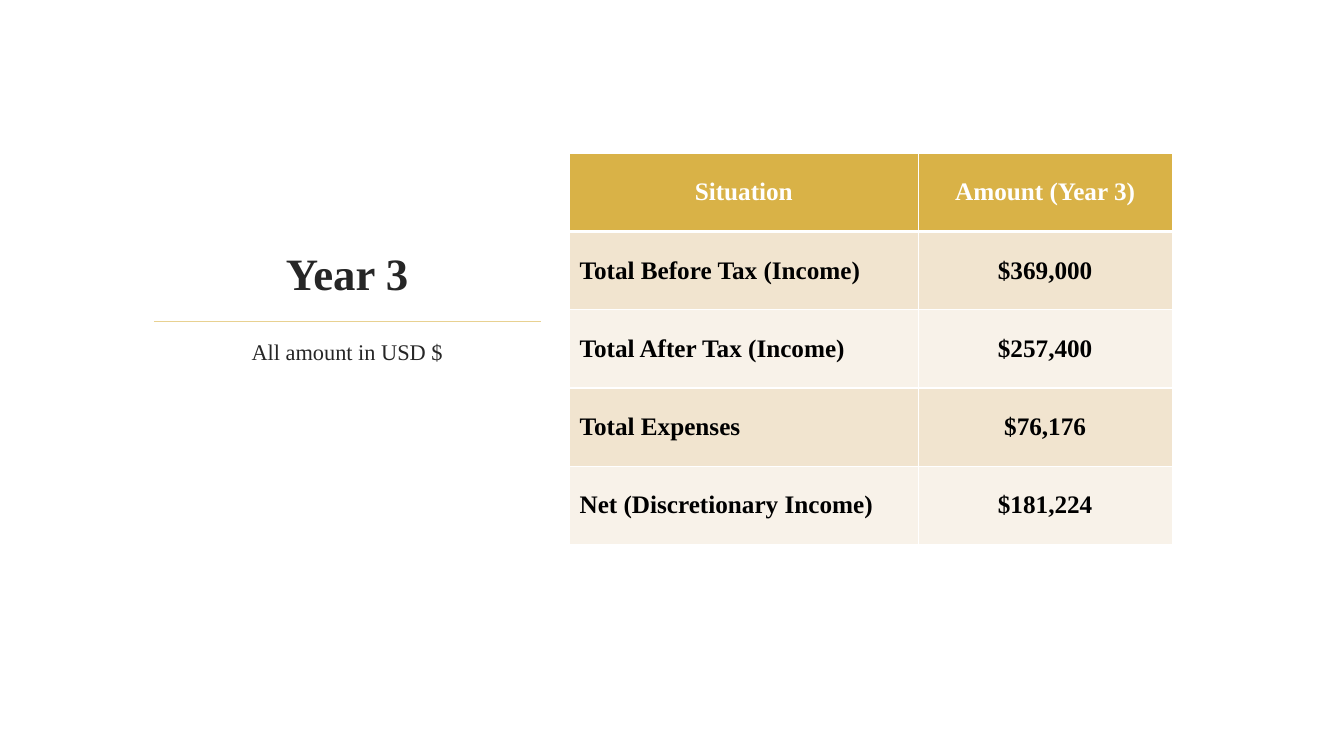
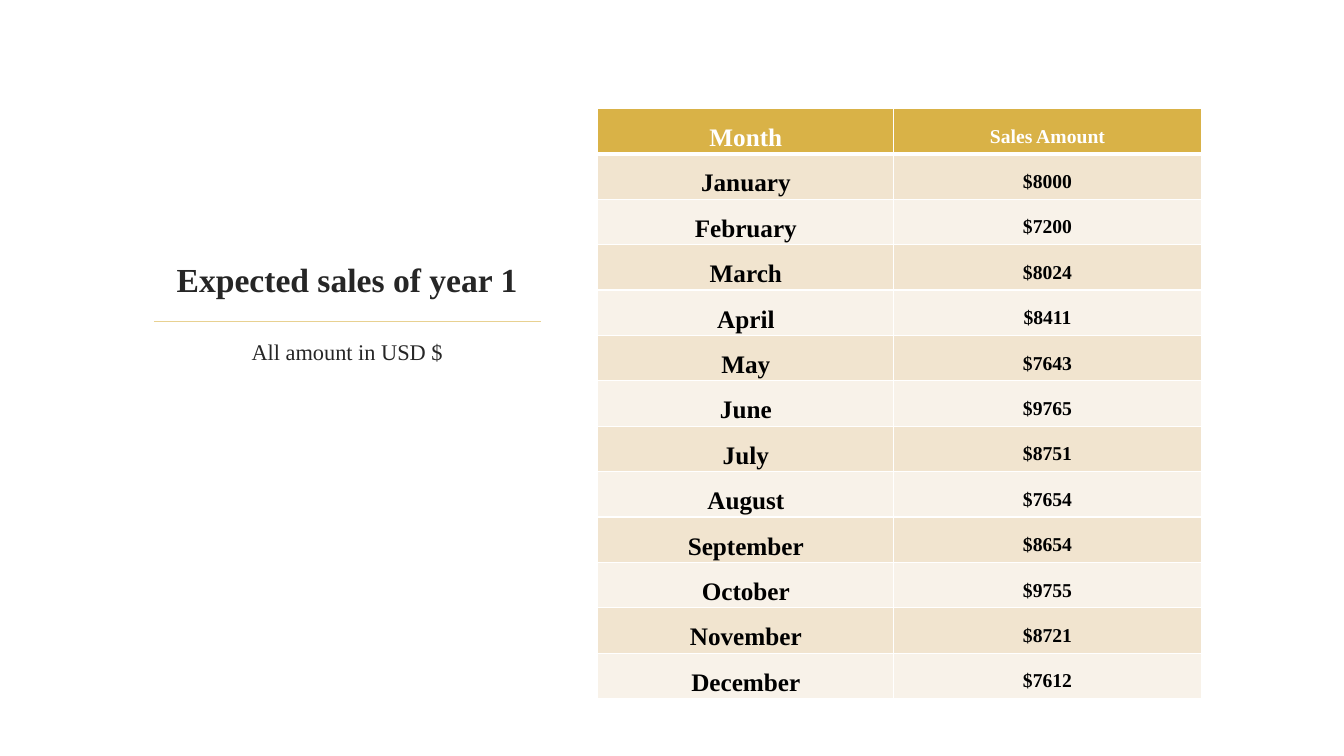
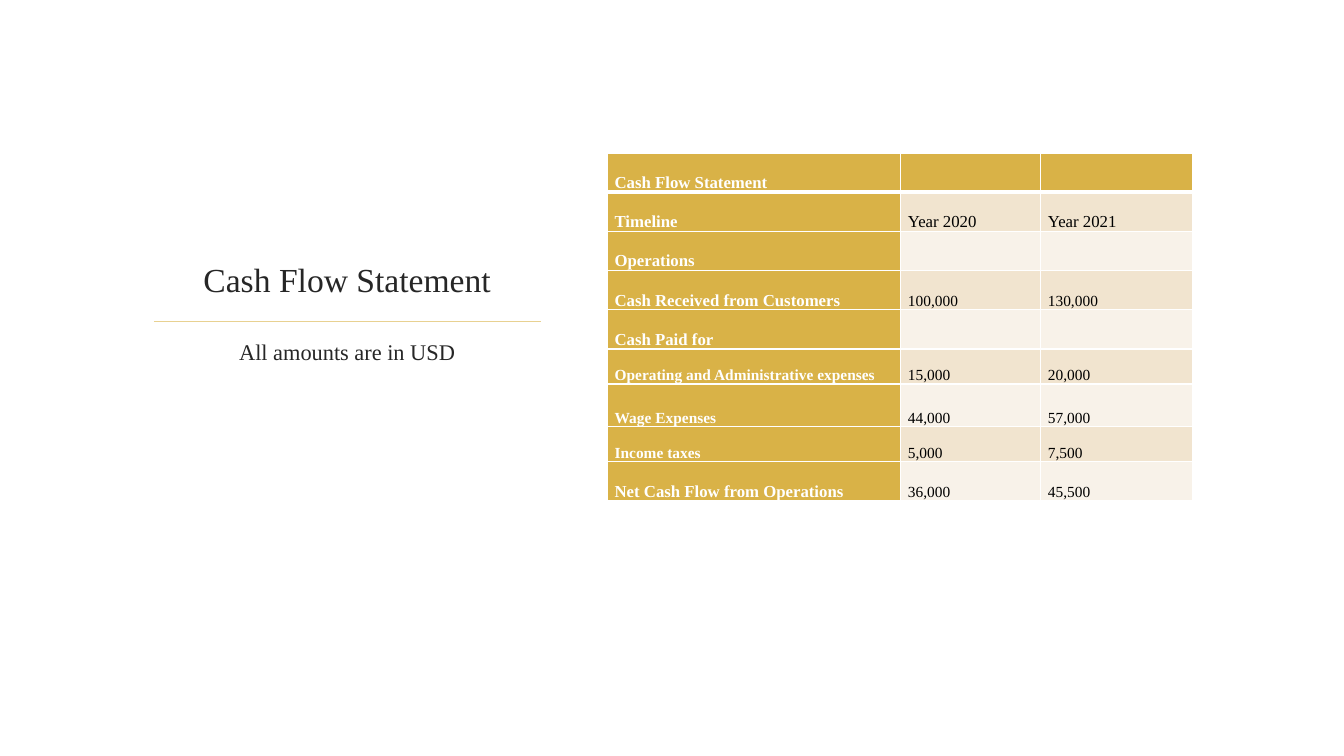
"""Build three financial slides, each with a heading beside a table."""
from dataclasses import dataclass

from lxml import etree
from pptx import Presentation
from pptx.dml.color import RGBColor
from pptx.enum.shapes import MSO_CONNECTOR
from pptx.enum.text import MSO_ANCHOR, PP_ALIGN
from pptx.oxml.ns import qn
from pptx.util import Pt

LEFT, CENTER, JUSTIFY = PP_ALIGN.LEFT, PP_ALIGN.CENTER, PP_ALIGN.JUSTIFY
TOP, MIDDLE, BOTTOM = MSO_ANCHOR.TOP, MSO_ANCHOR.MIDDLE, MSO_ANCHOR.BOTTOM
STRAIGHT = MSO_CONNECTOR.STRAIGHT


@dataclass(frozen=True)
class Theme:
    """Colours, type sizes and line widths shared by the slides."""
    font: str = "Times New Roman"
    heading: str = "262626"
    rule: str = "E8D191"
    header_fill: str = "D9B247"
    band_fills: tuple = ("F8F2E9", "F1E4CF")
    white: str = "FFFFFF"
    black: str = "000000"
    large_title: int = 32
    title: int = 24
    subtitle: int = 16
    table_large: int = 18
    table_medium: int = 14
    table_small: int = 12
    table_tiny: int = 11
    rule_width: float = 1.25
    border: int = 1
    header_border: int = 3


@dataclass(frozen=True)
class TableStyle:
    """Text layout and emphasis of one table."""
    header_align: tuple
    body_align: tuple
    anchor: MSO_ANCHOR = MIDDLE
    margins: tuple = (5, 0)
    line_spacing: float = 1.5
    bold_body: bool = True
    header_column: bool = False


THEME = Theme()

YEAR_ROWS = [
    ("Situation", "Amount (Year 3)"),
    ("Total Before Tax (Income)", "$369,000"),
    ("Total After Tax (Income)", "$257,400"),
    ("Total Expenses", "$76,176"),
    ("Net (Discretionary Income)", "$181,224"),
]
SALES_ROWS = [
    ("Month", "Sales Amount"),
    ("January", "$8000"),
    ("February", "$7200"),
    ("March", "$8024"),
    ("April", "$8411"),
    ("May", "$7643"),
    ("June", "$9765"),
    ("July", "$8751"),
    ("August", "$7654"),
    ("September", "$8654"),
    ("October", "$9755"),
    ("November", "$8721"),
    ("December", "$7612"),
]
CASH_ROWS = [
    ("Cash Flow Statement", "", ""),
    ("Timeline", "Year 2020", "Year 2021"),
    ("Operations", "", ""),
    ("Cash Received from Customers", "100,000", "130,000"),
    ("Cash Paid for", "", ""),
    ("Operating and Administrative expenses", "15,000", "20,000"),
    ("Wage Expenses", "44,000", "57,000"),
    ("Income taxes", "5,000", "7,500"),
    ("Net Cash Flow from Operations", "36,000", "45,500"),
]


def style_paragraph(paragraph, size, color, bold, align):
    """Set the font and alignment of a paragraph."""
    paragraph.alignment = align
    font = paragraph.font
    font.name, font.size, font.bold = THEME.font, Pt(size), bold
    font.color.rgb = RGBColor.from_string(color)


def add_text(slide, text, top, height, size, bold=False, anchor=TOP):
    """Add a centred text box in the heading column."""
    box = slide.shapes.add_textbox(Pt(101.5), Pt(top), Pt(293), Pt(height))
    frame = box.text_frame
    frame.word_wrap = True
    frame.vertical_anchor = anchor
    frame.text = text
    style_paragraph(frame.paragraphs[0], size, THEME.heading, bold, CENTER)


def add_rule(slide):
    """Add the gold rule between title and subtitle."""
    rule = slide.shapes.add_connector(STRAIGHT, Pt(110), Pt(229.7), Pt(386.6), Pt(229.7))
    rule.line.color.rgb = RGBColor.from_string(THEME.rule)
    rule.line.width = Pt(THEME.rule_width)
    etree.SubElement(rule._element.spPr, qn("a:effectLst"))


def add_heading_slide(presentation, title, title_size, bold, subtitle, subtitle_height):
    """Add a blank slide with its title, rule and subtitle."""
    slide = presentation.slides.add_slide(presentation.slide_layouts[6])
    add_rule(slide)
    add_text(slide, title, 109.4, 108, title_size, bold, BOTTOM)
    add_text(slide, subtitle, 238.3, subtitle_height, THEME.subtitle)
    return slide


def set_borders(cell, row):
    """Draw white cell borders, heavier between header and body."""
    properties = cell._tc.get_or_add_tcPr()
    heavy_side = {0: "lnB", 1: "lnT"}.get(row)
    for side in ("lnL", "lnR", "lnT", "lnB"):
        width = THEME.header_border if side == heavy_side else THEME.border
        line = etree.SubElement(properties, qn(f"a:{side}"), w=str(Pt(width)))
        fill = etree.SubElement(line, qn("a:solidFill"))
        etree.SubElement(fill, qn("a:srgbClr"), val=THEME.white)


def fill_cell(cell, text, row, column, size, style):
    """Write and format one table cell."""
    is_header = row == 0 or (style.header_column and column == 0)
    set_borders(cell, row)
    cell.fill.solid()
    fill = THEME.header_fill if is_header else THEME.band_fills[row % 2]
    cell.fill.fore_color.rgb = RGBColor.from_string(fill)
    cell.vertical_anchor = style.anchor
    horizontal, vertical = style.margins
    cell.margin_left = cell.margin_right = Pt(horizontal)
    cell.margin_top = cell.margin_bottom = Pt(vertical)
    cell.text = text
    paragraph = cell.text_frame.paragraphs[0]
    paragraph.line_spacing = style.line_spacing
    align = (style.header_align if row == 0 else style.body_align)[column]
    color = THEME.white if is_header else THEME.black
    style_paragraph(paragraph, size, color, is_header or style.bold_body, align)


def add_data_table(slide, rows, left, top, widths, heights, sizes, style):
    """Add a banded table, with one tuple of type sizes for each row."""
    frame = slide.shapes.add_table(
        len(rows), len(widths), Pt(left), Pt(top), Pt(sum(widths)), Pt(sum(heights)))
    table = frame.table
    for column, width in zip(table.columns, widths):
        column.width = Pt(width)
    for table_row, height in zip(table.rows, heights):
        table_row.height = Pt(height)
    for row, (texts, row_sizes) in enumerate(zip(rows, sizes)):
        for column, (text, size) in enumerate(zip(texts, row_sizes)):
            fill_cell(table.cell(row, column), text, row, column, size, style)


def add_year_slide(presentation):
    """Add the summary of year 3."""
    slide = add_heading_slide(
        presentation, "Year 3", THEME.large_title, True, "All amount in USD $", 31.7)
    count = len(YEAR_ROWS)
    style = TableStyle((CENTER, CENTER), (LEFT, CENTER), margins=(7.2, 3.6), line_spacing=1.0)
    add_data_table(slide, YEAR_ROWS, 406.8, 109.4, (249, 181.5), [55.9] * count,
                   [(THEME.table_large, THEME.table_large)] * count, style)


def add_sales_slide(presentation):
    """Add the monthly sales of year 1."""
    slide = add_heading_slide(
        presentation, "Expected sales of year 1", THEME.title, True, "All amount in USD $", 44.6)
    count = len(SALES_ROWS)
    style = TableStyle((CENTER, CENTER), (CENTER, CENTER))
    add_data_table(slide, SALES_ROWS, 427, 77.4, (211.5, 219.5), [30.85] * count,
                   [(THEME.table_large, THEME.table_medium)] * count, style)


def add_cash_slide(presentation):
    """Add the cash flow statement."""
    slide = add_heading_slide(
        presentation, "Cash Flow Statement", THEME.title, False, "All amounts are in USD", 192.2)
    small, tiny = THEME.table_small, THEME.table_tiny
    label_sizes = [small] * 5 + [tiny] * 3 + [small]
    value_sizes = [small] * 2 + [tiny] * 7
    sizes = [(label, value, value) for label, value in zip(label_sizes, value_sizes)]
    style = TableStyle((JUSTIFY,) * 3, (JUSTIFY,) * 3, anchor=BOTTOM,
                       bold_body=False, header_column=True)
    add_data_table(slide, CASH_ROWS, 434, 109.4, (209.5, 100, 108.5),
                   [28] * 5 + [25, 30.5, 25, 28], sizes, style)


def main():
    """Build and save the presentation."""
    presentation = Presentation()
    presentation.slide_width, presentation.slide_height = Pt(960), Pt(540)
    add_year_slide(presentation)
    add_sales_slide(presentation)
    add_cash_slide(presentation)
    presentation.save("out.pptx")


if __name__ == "__main__":
    main()
